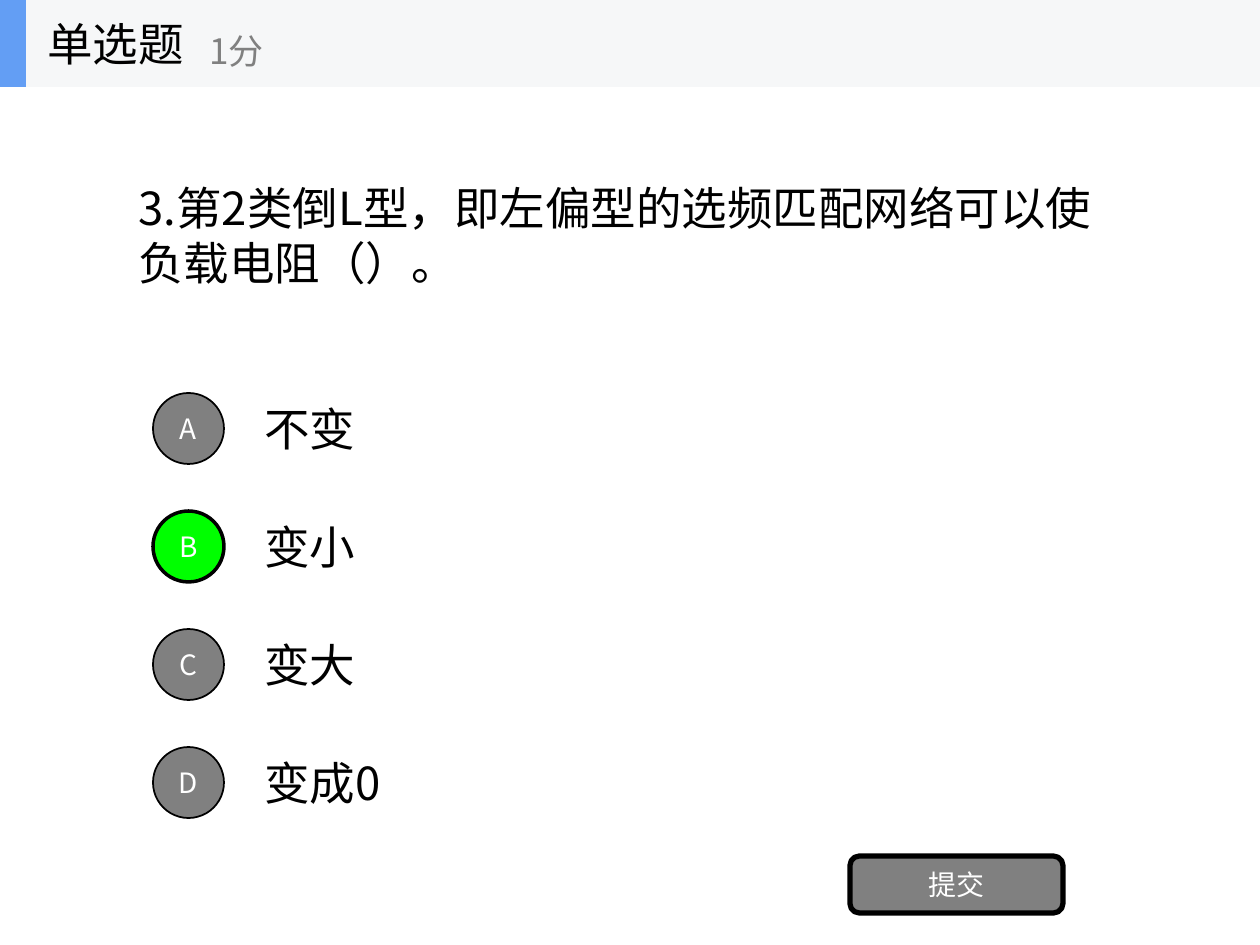
from lxml.etree import SubElement
from pptx import Presentation
from pptx.dml.color import RGBColor
from pptx.enum.shapes import MSO_SHAPE
from pptx.enum.text import MSO_ANCHOR, PP_ALIGN
from pptx.oxml.ns import qn
from pptx.util import Emu, Pt

FONT = "Noto Sans CJK SC"
PX = 914400 / 126


def rgb(value):
    return RGBColor.from_string(value)


def add_item(shapes, box, kind=None, fill=None, line=0, text="", size=26,
             color="000000", wrap=True):
    box = [Emu(round(v * PX)) for v in box]
    if kind is None:
        s = shapes.add_textbox(*box)
    else:
        s = shapes.add_shape(kind, *box)
        s.shadow.inherit = False
        s.fill.solid()
        s.fill.fore_color.rgb = rgb(fill)
        if line:
            s.line.color.rgb = rgb("000000")
            s.line.width = Pt(line)
        else:
            s.line.fill.background()
    if text:
        tf = s.text_frame
        for name, value in {"word_wrap": wrap, "vertical_anchor": MSO_ANCHOR.MIDDLE}.items():
            setattr(tf, name, value)
        p = tf.paragraphs[0]
        p.alignment = PP_ALIGN.CENTER if kind else PP_ALIGN.LEFT
        r = p.add_run()
        r.text = text
        r.font.color.rgb = rgb(color)
        for name, value in {"name": FONT, "size": Pt(size)}.items():
            setattr(r.font, name, value)
        SubElement(r.font._element, qn("a:ea"), typeface=FONT)
    return s


prs = Presentation()
prs.slide_width = Emu(round(1260 * PX))
prs.slide_height = Emu(round(945 * PX))
slide = prs.slides.add_slide(prs.slide_layouts[6])
shapes = slide.shapes

add_item(shapes, (126, 87, 1008, 295),
         text="3.第2类倒L型，即左偏型的选频匹配网络可以使负载电阻（）。")

options = ["不变", "变小", "变大", "变成0"]
correct = "B"
pitch = 118
for i, option in enumerate(options):
    add_item(shapes, (252, 384 + i * pitch, 882, 88), text=option)
for i, letter in enumerate("ABCD"):
    chosen = letter == correct
    add_item(shapes, (153, 393 + i * pitch, 71, 71), MSO_SHAPE.OVAL,
             "00FF00" if chosen else "808080", 2 if chosen else 1,
             letter, 16, "FFFFFF")

add_item(shapes, (850, 856, 213, 57), MSO_SHAPE.ROUNDED_RECTANGLE,
         "808080", 3, "提交", 16, "FFFFFF")

header = shapes.add_group_shape().shapes
add_item(header, (0, 0, 1260, 87), MSO_SHAPE.RECTANGLE, "F6F7F8")
add_item(header, (0, 0, 26, 87), MSO_SHAPE.RECTANGLE, "639EF4")
add_item(header, (35, 0, 262, 87), text="单选题", wrap=False)
add_item(header, (197, 15, 315, 71), text="1分", size=20, color="808080", wrap=False)

prs.save("out.pptx")
